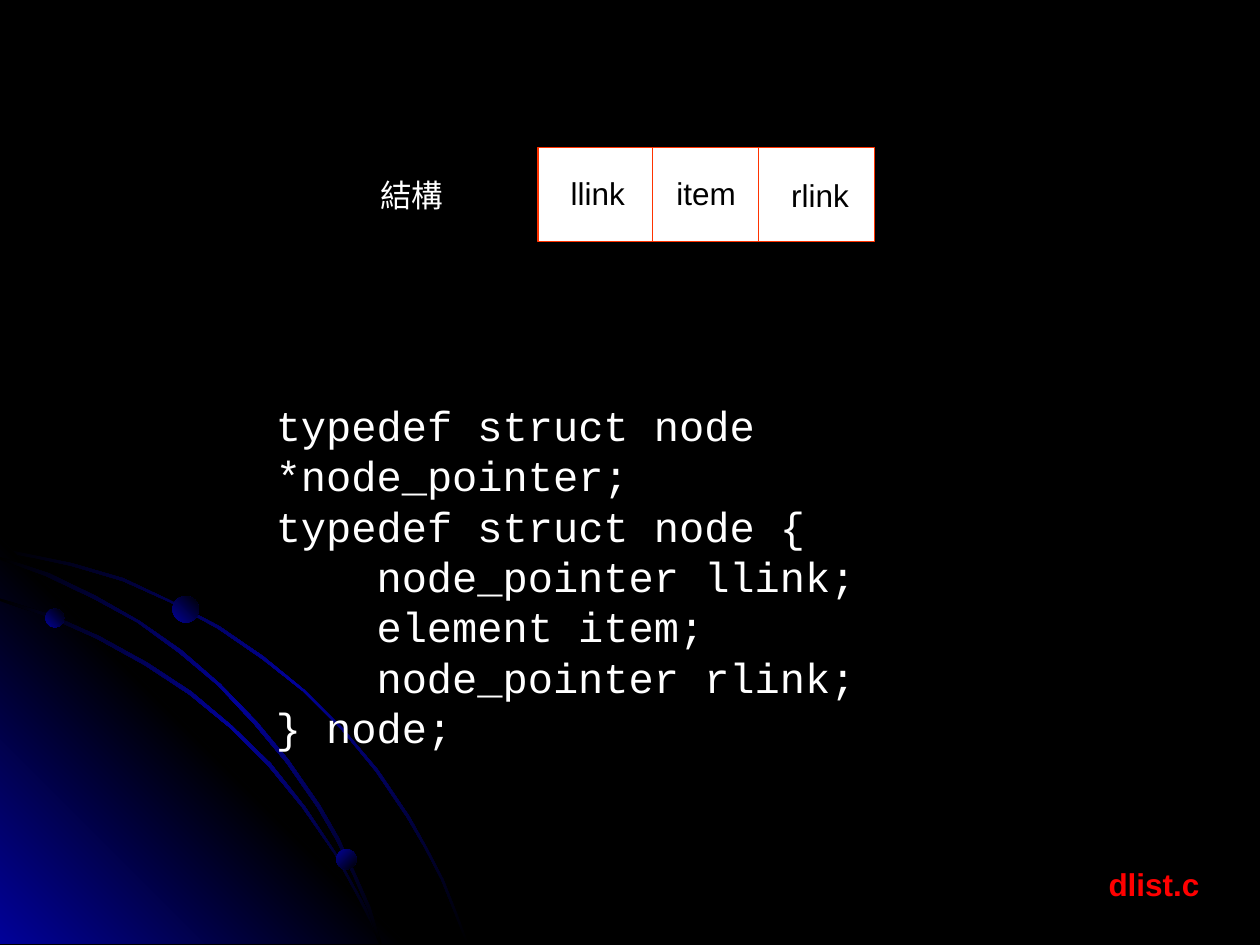
from pptx import Presentation
from pptx.dml.color import RGBColor as RGB
from pptx.enum.shapes import MSO_CONNECTOR as Line, MSO_SHAPE as Kind
from pptx.oxml import parse_xml
from pptx.oxml.ns import nsdecls
from pptx.util import Pt


def shade(shape, stops, angle):
    step = 100000 // (len(stops) - 1)
    marks = "".join(
        f'<a:gs pos="{i * step}"><a:srgbClr val="{c}"/></a:gs>'
        for i, c in enumerate(stops))
    shape.shadow.inherit = False
    shape.line.fill.background()
    shape.fill.background()
    old = shape._element.spPr.find(
        "{http://schemas.openxmlformats.org/drawingml/2006/main}noFill")
    old.getparent().replace(old, parse_xml(
        f'<a:gradFill {nsdecls("a")} rotWithShape="1"><a:gsLst>{marks}</a:gsLst>'
        f'<a:lin ang="{angle * 60000}" scaled="1"/></a:gradFill>'))


def write(x, y, w, h, lines, size, font, color, bold=False, wrap=False):
    frame = shapes.add_textbox(Pt(x), Pt(y), Pt(w), Pt(h)).text_frame
    frame.word_wrap = wrap
    frame.text = "\n".join(lines)
    for para in frame.paragraphs:
        para.font.size = Pt(size)
        para.font.name = font
        para.font.bold = bold
        para.font.color.rgb = RGB.from_string(color)
    return frame


BLACK, BLUE, WHITE, RED = "000000", "010199", "FFFFFF", "FF3300"

deck = Presentation()
deck.slide_width, deck.slide_height = Pt(720), Pt(540)
slide = deck.slides.add_slide(deck.slide_layouts[6])
shapes = slide.shapes
slide.background.fill.solid()
slide.background.fill.fore_color.rgb = RGB.from_string(BLACK)

outer = [
    (57, 447), (28, 441), (0, 435), (0, 438), (28, 443), (56, 449), (97, 461),
    (135, 478), (173, 499), (208, 523), (241, 549), (271, 579), (298, 612),
    (323, 649), (337, 673), (350, 698), (360, 723), (370, 749), (372, 749),
    (362, 723), (352, 698), (339, 673), (325, 648), (300, 611), (272, 578),
    (242, 548), (209, 521), (174, 497), (136, 477), (98, 459)]
glow = [(322, 749), (0, 749), (0, 427)]
inner = [
    (285, 714), (294, 732), (301, 749), (303, 749), (296, 730), (286, 712),
    (266, 676), (242, 640), (215, 606), (184, 576), (152, 549), (117, 526),
    (79, 505), (41, 488), (0, 475), (0, 477), (39, 490), (77, 507), (115, 528),
    (150, 551), (183, 578), (213, 608), (240, 641), (265, 677)]
middle = [
    (0, 442), (0, 444), (36, 457), (74, 475), (109, 494), (142, 518),
    (173, 544), (202, 575), (227, 605), (252, 641), (267, 667), (280, 694),
    (292, 722), (301, 749), (303, 749), (294, 720), (282, 693), (269, 665),
    (254, 639), (229, 603), (204, 573), (175, 543), (144, 516), (111, 493),
    (76, 473), (39, 455)]

arc = [BLACK, BLUE, BLACK]
for pts, stops, angle in [(outer, arc, 45), (glow, [BLUE, BLACK, BLUE], 315),
                          (inner, arc, 45), (middle, arc, 45)]:
    path = shapes.build_freeform(*pts[0], scale=Pt(0.72))
    path.add_line_segments(pts[1:], close=True)
    shade(path.convert_to_shape(), stops, angle)

for x, y, d, angle in [(25.9, 347.8, 10.8, 315), (192.2, 485.3, 11.5, 45),
                       (98.6, 340.6, 15.1, 315)]:
    dot = shapes.add_shape(Kind.OVAL, Pt(x), Pt(y), Pt(d), Pt(d))
    shade(dot, [BLUE, BLACK], angle)

write(210.2, 97.2, 50.4, 28.8, ["結構"], 18, "Arial", WHITE)

top, tall = 84.2, 54
box = shapes.add_shape(Kind.RECTANGLE, Pt(307.4), Pt(top), Pt(192.2), Pt(tall))
box.shadow.inherit = False
box.fill.solid()
box.fill.fore_color.rgb = RGB.from_string(WHITE)
box.line.color.rgb = RGB.from_string(RED)
box.line.width = Pt(0.75)

for x in (373, 433.4):
    rule = shapes.add_connector(Line.STRAIGHT, Pt(x), Pt(top), Pt(x), Pt(top + tall))
    rule.line.color.rgb = RGB.from_string(RED)
    rule.line.width = Pt(0.75)
    rule._element.spPr.append(parse_xml(f'<a:effectLst {nsdecls("a")}/>'))

for x, y, w, name in [(319, 95.8, 45.4, "llink"), (379.4, 95.8, 48.2, "item"),
                      (445, 97.2, 47.5, "rlink")]:
    write(x, y, w, 28.8, [name], 18, "Arial", BLACK)

code = ["typedef struct node *node_pointer;", "typedef struct node {",
        "node_pointer llink;", "element item;", "node_pointer rlink;", "} node;"]
body = write(150.5, 224.6, 469.4, 181.4, code, 24, "Courier New", WHITE, wrap=True)
for para in body.paragraphs[2:5]:
    para._p.get_or_add_pPr().set("marL", str(Pt(57.6)))

write(626.4, 491, 67, 28.8, ["dlist.c"], 18, "Arial", "FF0000", bold=True)

deck.save("out.pptx")
